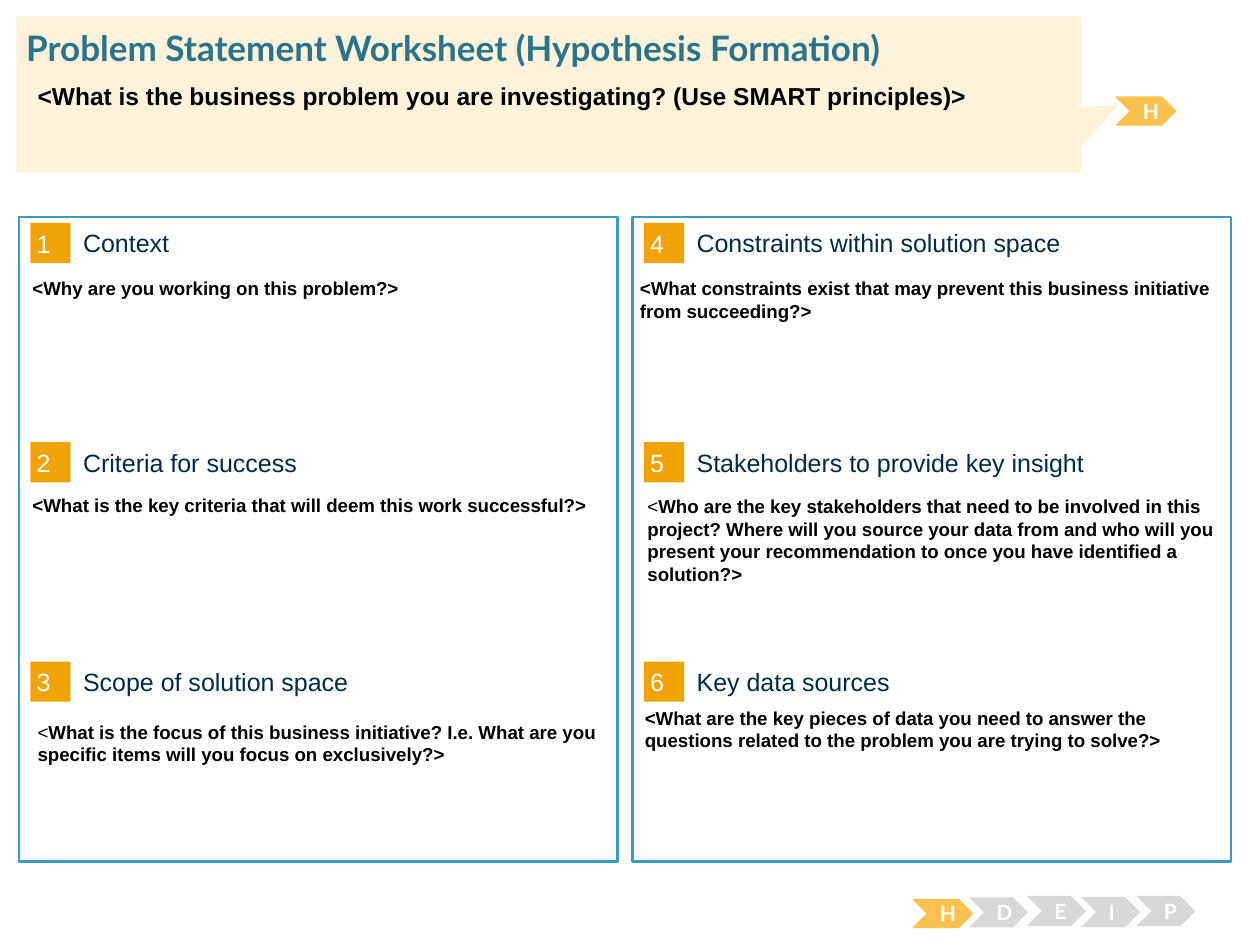
from dataclasses import dataclass
from pptx import Presentation
from pptx.dml.color import RGBColor
from pptx.enum.shapes import MSO_SHAPE
from pptx.enum.text import MSO_ANCHOR, PP_ALIGN
from pptx.util import Pt


@dataclass(frozen=True)
class Theme:
    white: str = "FFFFFF"
    black: str = "000000"
    border: str = "379BBD"
    marker: str = "F1A205"
    heading: str = "002C46"
    title: str = "29748D"
    banner: str = "FEF2DA"
    active: str = "FBC14E"
    inactive: str = "D8D8D8"
    body_font: str = "Arial"
    title_font: str = "Lato"
    title_size: float = 20
    question_size: float = 14
    heading_size: float = 14.3
    note_size: float = 10.7
    step_size: float = 12


T = Theme()
TITLE = "Problem Statement Worksheet (Hypothesis Formation)"
QUESTION = "<What is the business problem you are investigating? (Use SMART principles)>"

# heading, plain lead, bold note, note left, note top, note height
SECTIONS = [
    ("Context", "", "<Why are you working on this problem?>", 11.5, 154.8, 98),
    ("Criteria for success", "",
     "<What is the key criteria that will deem this work successful?>", 11.5, 278.6, 111),
    ("Scope of solution space", "<",
     "What is the focus of this business initiative? I.e. What are you specific "
     "items will you focus on exclusively?>", 14.4, 408.2, 59),
    ("Constraints within solution space", "",
     "<What constraints exist that may prevent this business initiative from "
     "succeeding?>", 358.6, 154.8, 85),
    ("Stakeholders to provide key insight", "<",
     "Who are the key stakeholders that need to be involved in this project? "
     "Where will you source your data from and who will you present your "
     "recommendation to once you have identified a solution?>", 362.9, 279.4, 85),
    ("Key data sources", "",
     "<What are the key pieces of data you need to answer the questions related "
     "to the problem you are trying to solve?>", 361.4, 400.3, 85),
]

# letter, left, top, active
STEPS = [
    ("H", 522, 514.1, True),
    ("D", 553.7, 512.8, False),
    ("E", 586.8, 512, False),
    ("I", 617.8, 512.6, False),
    ("P", 649.4, 512, False),
    ("H", 638, 55.5, True),
]

ROWS = 3
COLUMN_PITCH, ROW_PITCH = 350.6, 125.3
PANEL_LEFT, PANEL_TOP, PANEL_W, PANEL_H = 10.8, 123.9, 342, 368.6
MARKER_LEFT, MARKER_TOP, MARKER_SIZE = 17.3, 127.4, 23
HEADING_LEFT, HEADING_TOP = 47.5, 129.8
INSETS = (7.2, 3.6)

prs = Presentation()
prs.slide_width, prs.slide_height = Pt(720), Pt(540)
s = prs.slides.add_slide(prs.slide_layouts[6])


def color(value):
    return RGBColor.from_string(value)


def add_shape(kind, box, fill, line=None, width=0.75):
    sp = s.shapes.add_shape(kind, *map(Pt, box))
    sp.shadow.inherit = False
    sp.fill.solid()
    sp.fill.fore_color.rgb = color(fill)
    if line:
        sp.line.color.rgb = color(line)
        sp.line.width = Pt(width)
    else:
        sp.line.fill.background()
    return sp


def write(sp, runs, size, ink, font=T.body_font, insets=INSETS,
          anchor=MSO_ANCHOR.TOP, align=PP_ALIGN.LEFT):
    tf = sp.text_frame
    tf.word_wrap = True
    tf.vertical_anchor = anchor
    tf.margin_left = tf.margin_right = Pt(insets[0])
    tf.margin_top = tf.margin_bottom = Pt(insets[1])
    p = tf.paragraphs[0]
    p.alignment = align
    for text, bold in runs:
        if text:
            r = p.add_run()
            r.text = text
            r.font.name, r.font.size, r.font.bold = font, Pt(size), bold
            r.font.color.rgb = color(ink)


def add_text(box, *args, **kwargs):
    write(s.shapes.add_textbox(*map(Pt, box)), *args, **kwargs)


for col in range(2):
    add_shape(MSO_SHAPE.RECTANGLE,
              (PANEL_LEFT + col * COLUMN_PITCH, PANEL_TOP, PANEL_W, PANEL_H),
              T.white, T.border, 1.5)

for i, (heading, lead, note, left, top, height) in enumerate(SECTIONS):
    col, row = divmod(i, ROWS)
    dx, dy = col * COLUMN_PITCH, row * ROW_PITCH
    marker = add_shape(MSO_SHAPE.RECTANGLE,
                       (MARKER_LEFT + dx, MARKER_TOP + dy, MARKER_SIZE, MARKER_SIZE),
                       T.marker)
    write(marker, [(str(i + 1), False)], T.heading_size, T.white,
          insets=(3.6, 3.6), anchor=MSO_ANCHOR.MIDDLE)
    add_text((HEADING_LEFT + dx, HEADING_TOP + dy, 283, 18), [(heading, False)],
             T.heading_size, T.heading, insets=(0, 0), anchor=MSO_ANCHOR.MIDDLE)
    add_text((left, top, 340.6, height), [(lead, False), (note, True)],
             T.note_size, T.black)

for letter, left, top, active in STEPS:
    fill = T.active if active else T.inactive
    step = add_shape(MSO_SHAPE.CHEVRON, (left, top, 33.8, 16 if active else 17.2),
                     fill, fill if active else None)
    write(step, [(letter, True)], T.step_size, T.white, T.title_font,
          anchor=MSO_ANCHOR.MIDDLE, align=PP_ALIGN.CENTER)

banner = add_shape(MSO_SHAPE.RECTANGULAR_CALLOUT, (9.4, 9.4, 608.4, 89.3), T.banner)
banner.adjustments[0], banner.adjustments[1] = 0.535, 0.066
add_text((15, 15.1, 692.6, 24.5), [(TITLE, True)], T.title_size, T.title,
         T.title_font, insets=(0, 0))
add_text((14.4, 42.5, 676, 38.9), [(QUESTION, True)], T.question_size, T.black)

prs.save("out.pptx")
